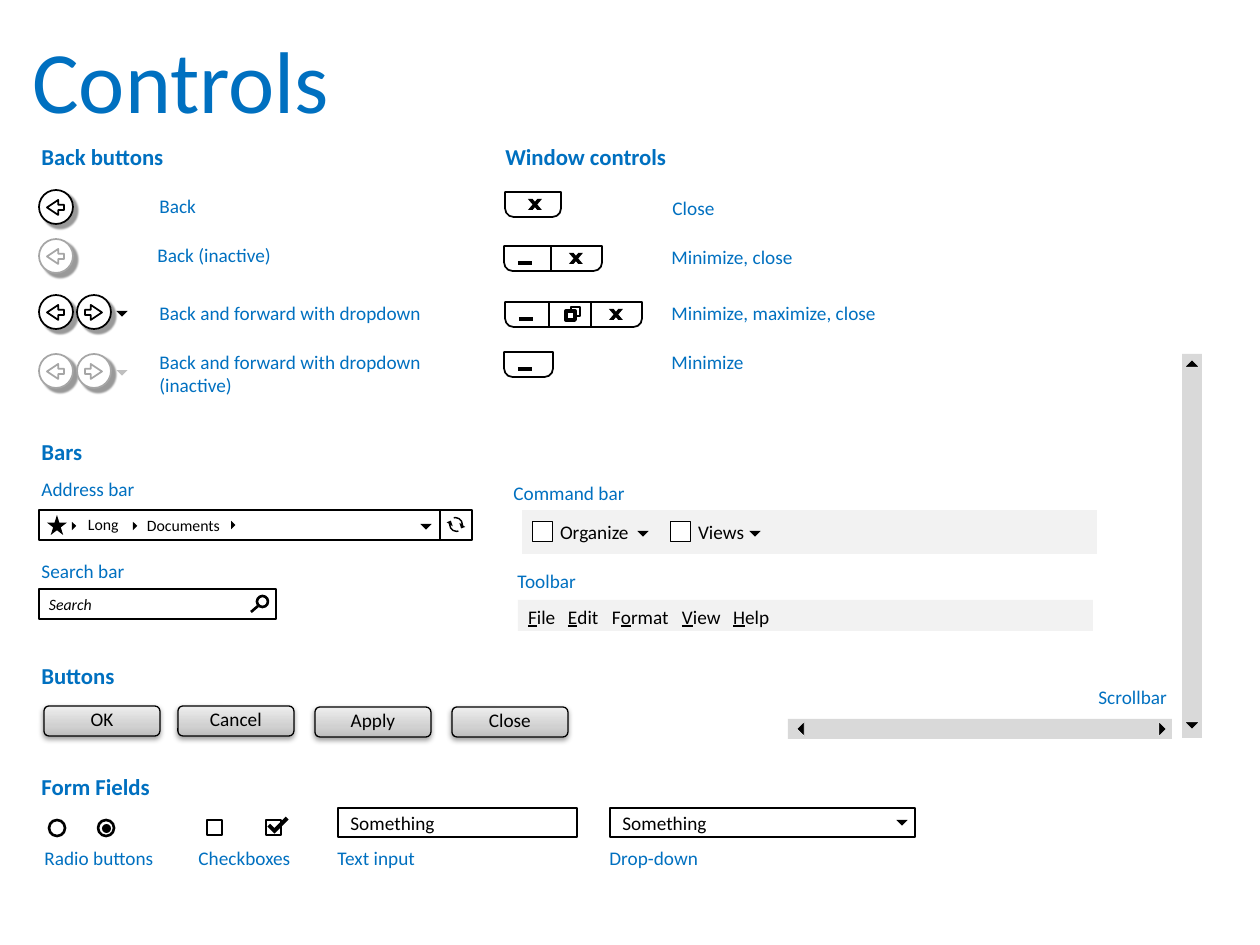
"""Build a slide showing a kit of user interface controls."""
from copy import deepcopy
from typing import NamedTuple, Optional

from lxml import etree
from pptx import Presentation
from pptx import util as u
from pptx.dml.color import RGBColor
from pptx.enum import shapes, text
from pptx.oxml.ns import qn

SCALE = 914400 / 126
FONT = "Calibri"
COLOURS = {"blue": "0070C0", "black": "000000", "white": "FFFFFF", "muted": "A6A6A6",
           "pale": "BFBFBF", "bar": "F2F2F2", "track": "D9D9D9"}
BUTTON_STOPS = ((0, "BDBDBD"), (0.35, "D1D1D1"), (1, "EEEEEE"))
TURNS = {"down": 315, "right": 225, "up": 135, "left": 45}
KIND = shapes.MSO_SHAPE


class Label(NamedTuple):
    x: int
    y: int
    width: int
    words: str


class Shadow(NamedTuple):
    alpha: int
    blur: float
    distance: float
    angle: int


class WindowBar(NamedTuple):
    x: int
    y: int
    width: int
    dividers: tuple
    minimize: bool
    close: bool


class BackRow(NamedTuple):
    y: int
    paired: bool
    line: str
    marker: str


class Button(NamedTuple):
    x: int
    y: int
    words: str


HEADINGS = (Label(29, 137, 150, "Back buttons"), Label(493, 137, 189, "Window controls"),
            Label(29, 432, 67, "Bars"), Label(29, 656, 100, "Buttons"),
            Label(29, 767, 135, "Form Fields"))
LABELS = (Label(147, 188, 62, "Back"), Label(145, 237, 140, "Back (inactive)"),
          Label(147, 295, 290, "Back and forward with dropdown"),
          Label(147, 344, 290, "Back and forward with dropdown\n(inactive)"),
          Label(660, 190, 68, "Close"), Label(659, 239, 147, "Minimize, close"),
          Label(659, 295, 232, "Minimize, maximize, close"), Label(659, 344, 98, "Minimize"),
          Label(29, 471, 120, "Address bar"), Label(29, 553, 110, "Search bar"),
          Label(501, 475, 137, "Command bar"), Label(505, 563, 86, "Toolbar"),
          Label(1086, 679, 95, "Scrollbar"), Label(32, 840, 135, "Radio buttons"),
          Label(186, 840, 118, "Checkboxes"), Label(325, 840, 105, "Text input"),
          Label(597, 840, 115, "Drop-down"))
WINDOW_BARS = (WindowBar(505, 192, 56, (), False, True),
               WindowBar(504, 246, 98, (551,), True, True),
               WindowBar(505, 302, 137, (549, 591), True, True),
               WindowBar(504, 352, 49, (), True, False))
BACK_ROWS = (BackRow(190, False, "black", "black"), BackRow(239, False, "muted", "pale"),
             BackRow(295, True, "black", "black"), BackRow(354, True, "muted", "pale"))
BUTTONS = (Button(44, 706, "OK"), Button(178, 706, "Cancel"),
           Button(315, 707, "Apply"), Button(452, 707, "Close"))
MENU = (("", "F", "ile"), ("", "E", "dit"), ("F", "o", "rmat"), ("", "V", "iew"), ("", "H", "elp"))
MENU_STOPS = (40, 84, 154, 205)
TICK = ((268, 818), (272, 818), (272, 824), (288, 824), (288, 828), (268, 828))

deck = Presentation()
deck.slide_width, deck.slide_height = u.Inches(10), u.Inches(7.5)
page = deck.slides.add_slide(deck.slide_layouts[6])


def px(length: float) -> int:
    """Turn pixels into EMU."""
    return round(length * SCALE)


def rgb(name: str) -> RGBColor:
    """Look up a named colour."""
    return RGBColor.from_string(COLOURS[name])


def add_span(para, words: str, size: float, colour: str = "black", **style) -> None:
    """Add one styled run to a paragraph."""
    span = para.add_run()
    span.text = words
    span.font.name, span.font.size = FONT, u.Pt(size)
    span.font.color.rgb = rgb(colour)
    for name, value in style.items():
        setattr(span.font, name, value)


def add_text(label: Label, height: int, size: float, colour: str = "black",
             wrap: bool = False, inset: bool = False, **style):
    """Add a text box and return its paragraph."""
    box = page.shapes.add_textbox(px(label.x), px(label.y), px(label.width), px(height))
    frame = box.text_frame
    frame.word_wrap = wrap
    frame.auto_size = text.MSO_AUTO_SIZE.SHAPE_TO_FIT_TEXT
    if inset:
        frame.margin_left = frame.margin_right = 0
        frame.margin_top = frame.margin_bottom = px(5)
    para = frame.paragraphs[0]
    for index, line in enumerate(label.words.split("\n") if label.words else ()):
        if index:
            para.add_line_break()
        add_span(para, line, size, colour, **style)
    return para


def add_box(kind, x: int, y: int, width: int, height: int, fill: str = "white",
            line: Optional[str] = None, weight: float = 1, turn: float = 0,
            adjust: tuple = (), flip: bool = False, shadow: Optional[Shadow] = None):
    """Add a preset shape with plain fill and outline."""
    box = page.shapes.add_shape(kind, px(x), px(y), px(width), px(height))
    box.shadow.inherit = False
    box.fill.solid()
    box.fill.fore_color.rgb = rgb(fill)
    if line:
        box.line.color.rgb, box.line.width = rgb(line), u.Pt(weight)
    else:
        box.line.fill.background()
    box.rotation = turn
    for index, value in enumerate(adjust):
        box.adjustments[index] = value
    props = box._element.spPr
    if flip:
        props.find(qn("a:xfrm")).set("flipH", "1")
    if shadow:
        outer = etree.SubElement(
            props.find(qn("a:effectLst")), qn("a:outerShdw"), blurRad=str(u.Pt(shadow.blur)),
            dist=str(u.Pt(shadow.distance)), dir=str(shadow.angle * 60000), rotWithShape="0")
        tint = etree.SubElement(outer, qn("a:srgbClr"), val=COLOURS["black"])
        etree.SubElement(tint, qn("a:alpha"), val=str(shadow.alpha * 1000))
    return box


def add_line(x1: int, y1: int, x2: int, y2: int, weight: float) -> None:
    """Add a straight black line."""
    line = page.shapes.add_connector(shapes.MSO_CONNECTOR.STRAIGHT, px(x1), px(y1), px(x2), px(y2))
    line.line.color.rgb, line.line.width = rgb("black"), u.Pt(weight)
    etree.SubElement(line._element.spPr, qn("a:effectLst"))


def add_marker(x: int, y: int, size: int, way: str, fill: str = "black",
               line: Optional[str] = None) -> None:
    """Add a small triangle pointing one way."""
    add_box(KIND.RIGHT_TRIANGLE, x, y, size, size, fill, line, 0.25, TURNS[way])


def add_window_bar(bar: WindowBar) -> None:
    """Draw a window control strip with its glyphs."""
    add_box(KIND.ROUND_2_SAME_RECTANGLE, bar.x, bar.y, bar.width, 25, "white", "black",
            turn=180, adjust=(0.344, 0))
    for x in bar.dividers:
        add_line(x, bar.y, x, bar.y + 25, 0.75)
    if bar.minimize:
        add_line(bar.x + 14, bar.y + 17, bar.x + 28, bar.y + 17, 2.25)
    for flip in (False, True) if bar.close else ():
        add_box(KIND.PARALLELOGRAM, bar.x + bar.width - 33, bar.y + 7, 14, 11, "black",
                adjust=(0.851,), flip=flip)


def add_back_row(row: BackRow) -> None:
    """Draw a back button, or a back and forward pair."""
    arrows = ((39, KIND.LEFT_ARROW), (77, KIND.RIGHT_ARROW))
    for x, arrow in arrows if row.paired else arrows[:1]:
        add_box(KIND.OVAL, x, row.y, 34, 34, "white", row.line, shadow=Shadow(40, 1, 3, 45))
        add_box(arrow, x + 8, row.y + 10, 17, 15, "white", row.line, adjust=(0.354, 0.749))
    if row.paired:
        add_marker(118, row.y + 12, 8, "down", row.marker)


def add_button(button: Button) -> None:
    """Draw a push button with a shaded face."""
    box = add_box(KIND.ROUNDED_RECTANGLE, button.x, button.y, 116, 30, "white", "black", 0.75,
                  shadow=Shadow(38, 3.1, 1.6, 90))
    box.fill.gradient()
    box.fill.gradient_angle = 90
    stop_list = box._element.spPr.find(qn("a:gradFill")).find(qn("a:gsLst"))
    stop_list.append(deepcopy(stop_list[0]))
    for stop, (position, colour) in zip(box.fill.gradient_stops, BUTTON_STOPS):
        stop.position, stop.color.rgb = position, RGBColor.from_string(colour)
    frame = box.text_frame
    frame.margin_top, frame.margin_bottom = 0, px(5)
    frame.paragraphs[0].alignment = text.PP_ALIGN.CENTER
    add_span(frame.paragraphs[0], button.words, 11)


def add_menu() -> None:
    """Write the toolbar menu with underlined access keys."""
    para = add_text(Label(528, 600, 561, ""), 33, 11, wrap=True, inset=True)
    tabs = etree.SubElement(para._p.get_or_add_pPr(), qn("a:tabLst"))
    for stop in MENU_STOPS:
        etree.SubElement(tabs, qn("a:tab"), pos=str(px(stop)), algn="l")
    for index, (before, key, after) in enumerate(MENU):
        lead = ("\t" if index else "") + before
        if lead:
            add_span(para, lead, 11)
        add_span(para, key, 11, underline=True)
        add_span(para, after, 11)


def add_tick() -> None:
    """Draw the check mark as a turned corner outline."""
    outline = page.shapes.build_freeform(*TICK[0], scale=SCALE)
    outline.add_line_segments(TICK[1:], close=True)
    tick = outline.convert_to_shape()
    tick.shadow.inherit = False
    tick.fill.solid()
    tick.fill.fore_color.rgb = rgb("black")
    tick.line.fill.background()
    tick.rotation = 314.8


add_text(Label(20, 20, 1221, "Controls"), 161, 50, "blue", wrap=True)
for heading in HEADINGS:
    add_text(heading, 40, 13, "blue", bold=True)
for label in LABELS:
    add_text(label, 59 if "\n" in label.words else 37, 11, "blue")
for bar in WINDOW_BARS:
    add_window_bar(bar)
for x, y, weight in ((571, 307, 1.5), (566, 311, 2.25)):
    add_box(KIND.RECTANGLE, x, y, 9, 9, "white", "black", weight)
for row in BACK_ROWS:
    add_back_row(row)

for x, y, width in ((39, 510, 433), (39, 589, 237)):
    add_box(KIND.RECTANGLE, x, y, width, 30, "white", "black")
add_box(KIND.STAR_5_POINT, 47, 515, 20, 20, "black")
for x, y in ((69, 523), (130, 523), (228, 522)):
    add_marker(x, y, 6, "right")
for label in (Label(88, 510, 49, "Long"), Label(147, 511, 129, "Documents")):
    add_text(label, 29, 9, wrap=True, inset=True)
add_line(440, 510, 440, 540, 0.75)
for x, turn in ((446, 210), (445, 31.3)):
    add_box(KIND.CIRCULAR_ARROW, x, 514, 21, 21, "black", turn=turn,
            adjust=(0.073, 19.32, 199.281, 134.68, 0.174))
add_text(Label(49, 590, 129, "Search"), 29, 9, wrap=True, inset=True, italic=True)
add_box(KIND.OVAL, 257, 596, 11, 11, "white", "black", 1.5)
add_line(258, 606, 251, 612, 1.5)

add_box(KIND.RECTANGLE, 522, 510, 575, 44, "bar")
for x, words in ((532, "Organize"), (670, "Views")):
    add_box(KIND.RECTANGLE, x, 521, 20, 20, "white", "black", 0.25)
    add_text(Label(x + 28, 515, 79, words), 33, 11, wrap=True, inset=True)
add_box(KIND.RECTANGLE, 518, 600, 575, 31, "bar")
add_menu()
for button in BUTTONS:
    add_button(button)

add_box(KIND.RECTANGLE, 1182, 354, 20, 384, "track")
add_box(KIND.RECTANGLE, 788, 719, 384, 20, "track")
for x, y, way in ((1187, 362, "up"), (1187, 717, "down"), (1154, 724, "right"), (799, 724, "left")):
    add_marker(x, y, 10, way, "black", "white")

for kind, size, lefts in ((KIND.OVAL, 16, (49, 98)), (KIND.RECTANGLE, 15, (207, 266))):
    for x in lefts:
        add_box(kind, x, 820, size, size, "white", "black", 1.5)
add_box(KIND.OVAL, 102, 824, 9, 9, "black")
add_tick()
for x, width in ((338, 239), (610, 305)):
    field = add_box(KIND.RECTANGLE, x, 808, width, 29, "white", "black")
    field.text_frame.paragraphs[0].alignment = text.PP_ALIGN.LEFT
    add_span(field.text_frame.paragraphs[0], "Something", 11)
for x, y in ((422, 520), (639, 527), (751, 527), (898, 816)):
    add_marker(x, y, 8, "down")

deck.save("out.pptx")
